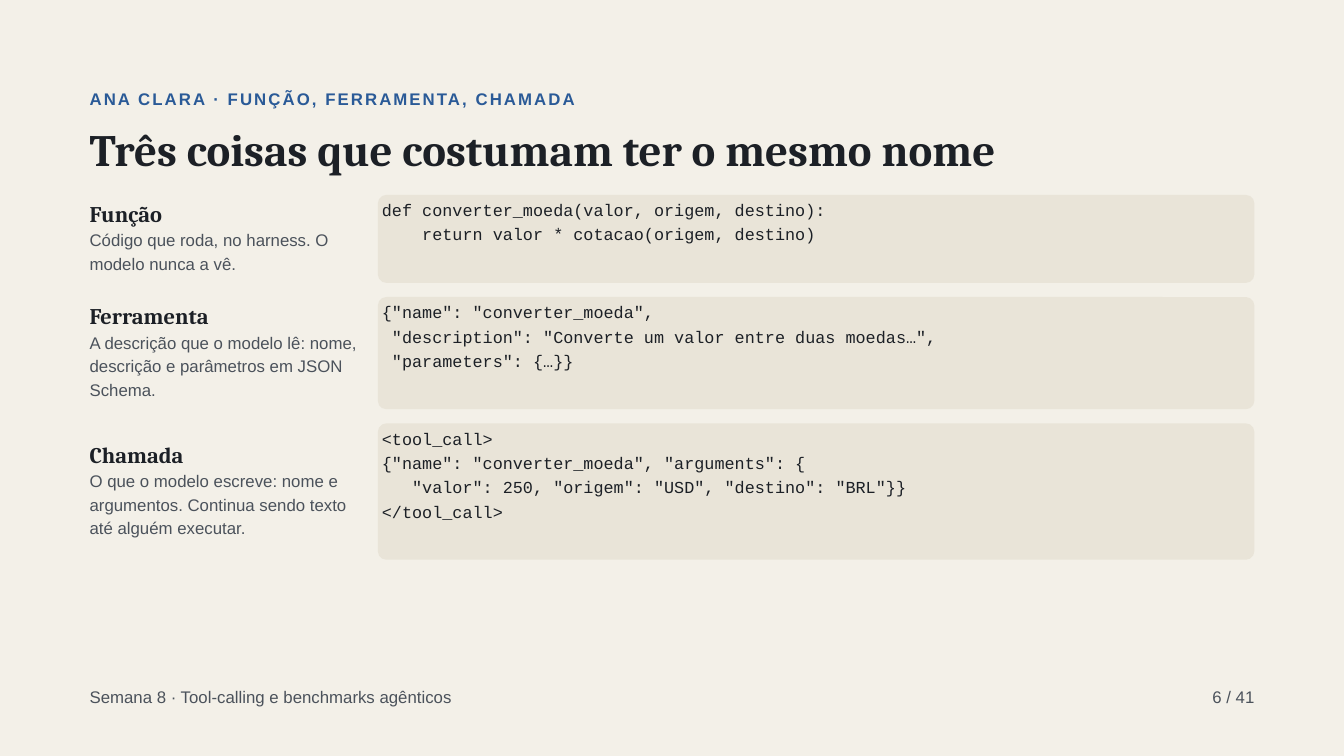
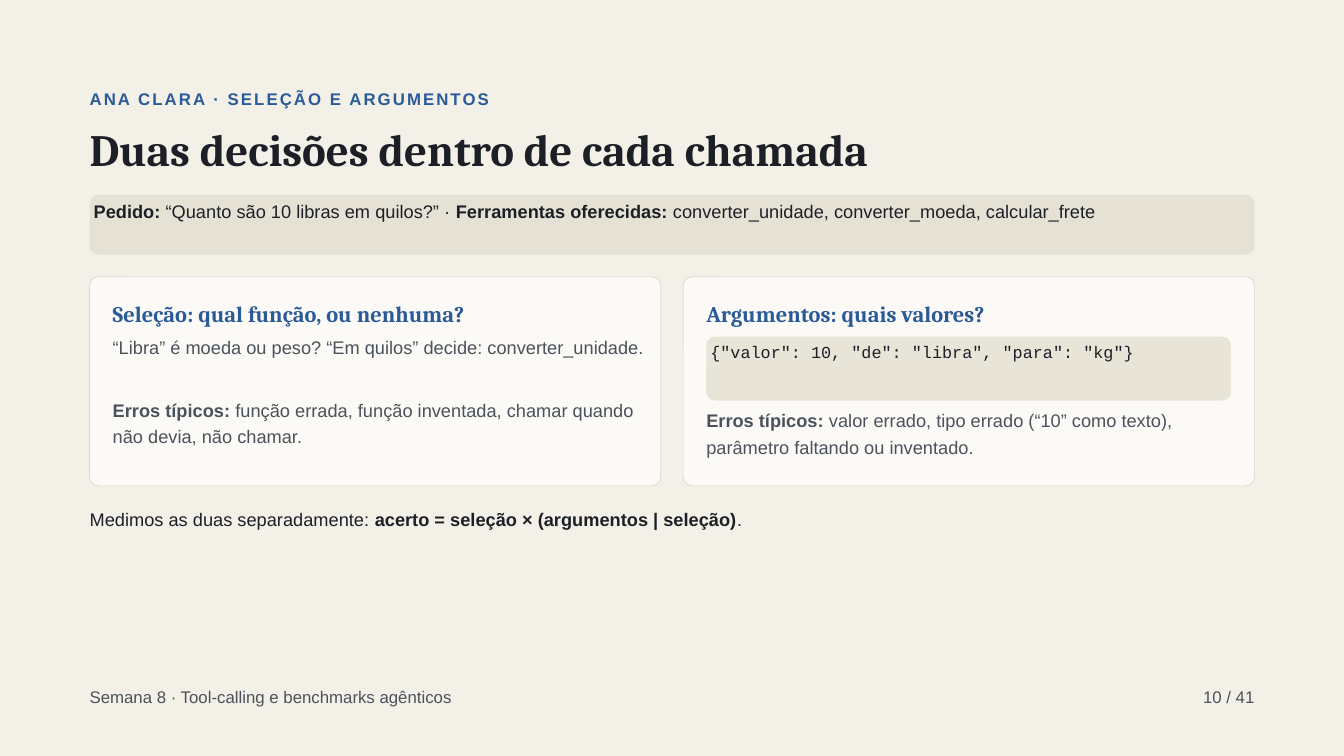
"""Builds two lesson slides on functions, tools and tool calls."""
from pptx import Presentation
from pptx.dml.color import RGBColor
from pptx.enum.shapes import MSO_SHAPE as Shape
from pptx.enum.text import MSO_ANCHOR as Anchor, PP_ALIGN as Align
from pptx.util import Inches, Pt

COLUMNS = 60
WIDTH, HEIGHT = 20, 11.25
LEFT, SPAN = 4, 52
TOP = 8.7
INK, GREY, BLUE = "1C2026", "4B525B", "2A5A97"
PAPER, SAND, BAR, CARD, EDGE = "F3F0E8", "E9E4D8", "E6E1D5", "FBFAF6", "DCD6C8"

STYLES = {
    "kicker": {"name": "Arial", "size": 18, "bold": True, "color": BLUE, "leading": 25.2, "spacing": 2.2},
    "title": {"name": "Cambria", "size": 48, "bold": True, "color": INK, "leading": 52.8},
    "term": {"name": "Cambria", "size": 24, "bold": True, "color": INK, "leading": 28.8},
    "heading": {"name": "Cambria", "size": 24, "bold": True, "color": BLUE, "leading": 28.8},
    "small": {"name": "Arial", "size": 18, "color": GREY, "leading": 25.2},
    "body": {"name": "Arial", "size": 19.5, "color": GREY, "leading": 28.3},
    "strong": {"name": "Arial", "size": 19.5, "color": INK, "leading": 28.3},
    "code": {"name": "Courier New", "size": 18, "color": INK, "leading": 26.1},
}


def cell(count):
    """Turn a number of grid cells into a length."""
    return Inches(count * WIDTH / COLUMNS)


def color(value):
    """Turn a hex string into a colour."""
    return RGBColor.from_string(value)


class LessonDeck:
    """Holds the style and the current page, with a method per element."""

    def __init__(self):
        """Start an empty deck."""
        self.deck = Presentation()
        self.deck.slide_width, self.deck.slide_height = Inches(WIDTH), Inches(HEIGHT)
        self.page = None

    def add_page(self, kicker, title, number):
        """Add a page with its kicker, title and footer."""
        self.page = self.deck.slides.add_slide(self.deck.slide_layouts[6])
        fill = self.page.background.fill
        fill.solid()
        fill.fore_color.rgb = color(PAPER)
        self.text(LEFT, 3.81, 53.55, 1.35, kicker, "kicker")
        self.text(LEFT, 5.64, 53.55, 2.16, title, "title")
        self.text(LEFT, 30.51, 35.4, 1.35, "Semana 8 · Tool-calling e benchmarks agênticos", "small")
        self.text(49.5, 30.51, 6.5, 1.35, f"{number} / 41", "small", align=Align.RIGHT)

    def text(self, x, y, width, height, words, style, inset=0, align=Align.LEFT):
        """Add text, one paragraph a line, with bold between double stars."""
        look = STYLES[style]
        box = self.page.shapes.add_textbox(cell(x), cell(y), cell(width), cell(height))
        frame = box.text_frame
        margins = {f"margin_{side}": Inches(inset) for side in ("left", "right", "top", "bottom")}
        for key, value in {"word_wrap": True, "vertical_anchor": Anchor.TOP, **margins}.items():
            setattr(frame, key, value)
        for index, line in enumerate(words.split("\n")):
            para = frame.add_paragraph() if index else frame.paragraphs[0]
            para.alignment, para.line_spacing = align, Pt(look["leading"])
            for part, piece in enumerate(line.split("**")):
                if piece:
                    self.span(para, piece, look, part % 2 == 1)

    def span(self, para, words, look, strong):
        """Add one run in the given look."""
        span = para.add_run()
        span.text = words
        values = {"name": look["name"], "size": Pt(look["size"]), "bold": strong or look.get("bold", False)}
        for key, value in values.items():
            setattr(span.font, key, value)
        span.font.color.rgb = color(look["color"])
        if "spacing" in look:
            span.font._element.set("spc", str(round(look["spacing"] * 100)))

    def panel(self, x, y, width, height, fill, edge=None):
        """Add a rounded panel with a constant corner radius."""
        box = self.page.shapes.add_shape(
            Shape.ROUNDED_RECTANGLE, cell(x), cell(y), cell(width), cell(height))
        box.adjustments[0] = 0.38 / min(width, height)
        box.shadow.inherit = False
        box.fill.solid()
        box.fill.fore_color.rgb = color(fill)
        if edge:
            box.line.color.rgb = color(edge)
            box.line.width = Pt(0.75)
        else:
            box.line.fill.background()

    def note(self, x, y, width, height, words, style, fill=SAND):
        """Add a panel with text at its top left."""
        self.panel(x, y, width, height, fill)
        self.text(x, y - 0.15, width, height + 0.15, words, style, inset=0.06)

    def code(self, x, y, width, words):
        """Add a code panel as tall as its lines need and return its height."""
        height = 1.77 + 1.08 * len(words.split("\n"))
        self.note(x, y, width, height, words, "code")
        return height

    def definition(self, y, term, meaning, lines, sample):
        """Add a term centred beside its code and return the next row."""
        height = self.code(16.87, y, 39.13, sample)
        meaning_height = 0.3 + 1.05 * lines
        top = y + (height - 1.2 - meaning_height) / 2 + 0.06
        self.text(LEFT, top, 12.25, 1.32, term, "term")
        self.text(LEFT, top + 1.2, 12.25, meaning_height, meaning, "small")
        return y + height + 0.63

    def card(self, x, y, width, height, heading):
        """Add a card with a heading and return the left edge of its text."""
        self.panel(x, y, width, height, CARD, EDGE)
        self.text(x + 1.03, y + 1.05, 24.15, 1.32, heading, "heading")
        return x + 1.03


DEFINITIONS = [
    ("Função", "Código que roda, no harness. O modelo nunca a vê.", 2,
     "def converter_moeda(valor, origem, destino):\n"
     "    return valor * cotacao(origem, destino)"),
    ("Ferramenta", "A descrição que o modelo lê: nome, descrição e parâmetros em JSON Schema.", 3,
     '{"name": "converter_moeda",\n'
     ' "description": "Converte um valor entre duas moedas…",\n'
     ' "parameters": {…}}'),
    ("Chamada", "O que o modelo escreve: nome e argumentos. Continua sendo texto até alguém executar.", 3,
     "<tool_call>\n"
     '{"name": "converter_moeda", "arguments": {\n'
     '   "valor": 250, "origem": "USD", "destino": "BRL"}}\n'
     "</tool_call>"),
]


def add_names_page(lesson):
    """Add the page that tells function, tool and call apart."""
    lesson.add_page("ANA CLARA · FUNÇÃO, FERRAMENTA, CHAMADA",
                    "Três coisas que costumam ter o mesmo nome", 6)
    row = TOP
    for definition in DEFINITIONS:
        row = lesson.definition(row, *definition)


def add_decisions_page(lesson):
    """Add the page on choosing a function and its arguments."""
    lesson.add_page("ANA CLARA · SELEÇÃO E ARGUMENTOS",
                    "Duas decisões dentro de cada chamada", 10)
    lesson.note(LEFT, TOP, SPAN, 2.67,
                "**Pedido:** “Quanto são 10 libras em quilos?” · **Ferramentas oferecidas:** "
                "converter_unidade, converter_moeda, calcular_frete", "strong", BAR)
    gap, row = 1, 12.36
    width = (SPAN - gap) / 2
    choice = lesson.card(LEFT, row, width, 9.33, "Seleção: qual função, ou nenhuma?")
    values = lesson.card(LEFT + width + gap, row, width, 9.33, "Argumentos: quais valores?")
    lesson.code(values, row + 2.67, 23.43, '{"valor": 10, "de": "libra", "para": "kg"}')
    for x, offset, words in [
        (choice, 2.46, "“Libra” é moeda ou peso? “Em quilos” decide: converter_unidade."),
        (choice, 5.25, "**Erros típicos:** função errada, função inventada, "
                       "chamar quando não devia, não chamar."),
        (values, 5.73, "**Erros típicos:** valor errado, tipo errado (“10” como texto), "
                       "parâmetro faltando ou inventado."),
    ]:
        lesson.text(x, row + offset, 24.15, 2.7, words, "body")
    lesson.text(LEFT, 22.47, 53.55, 1.53,
                "Medimos as duas separadamente: **acerto = seleção × (argumentos | seleção)**.", "strong")


def main():
    """Build both pages and save the deck."""
    lesson = LessonDeck()
    add_names_page(lesson)
    add_decisions_page(lesson)
    lesson.deck.save("out.pptx")


if __name__ == "__main__":
    main()
